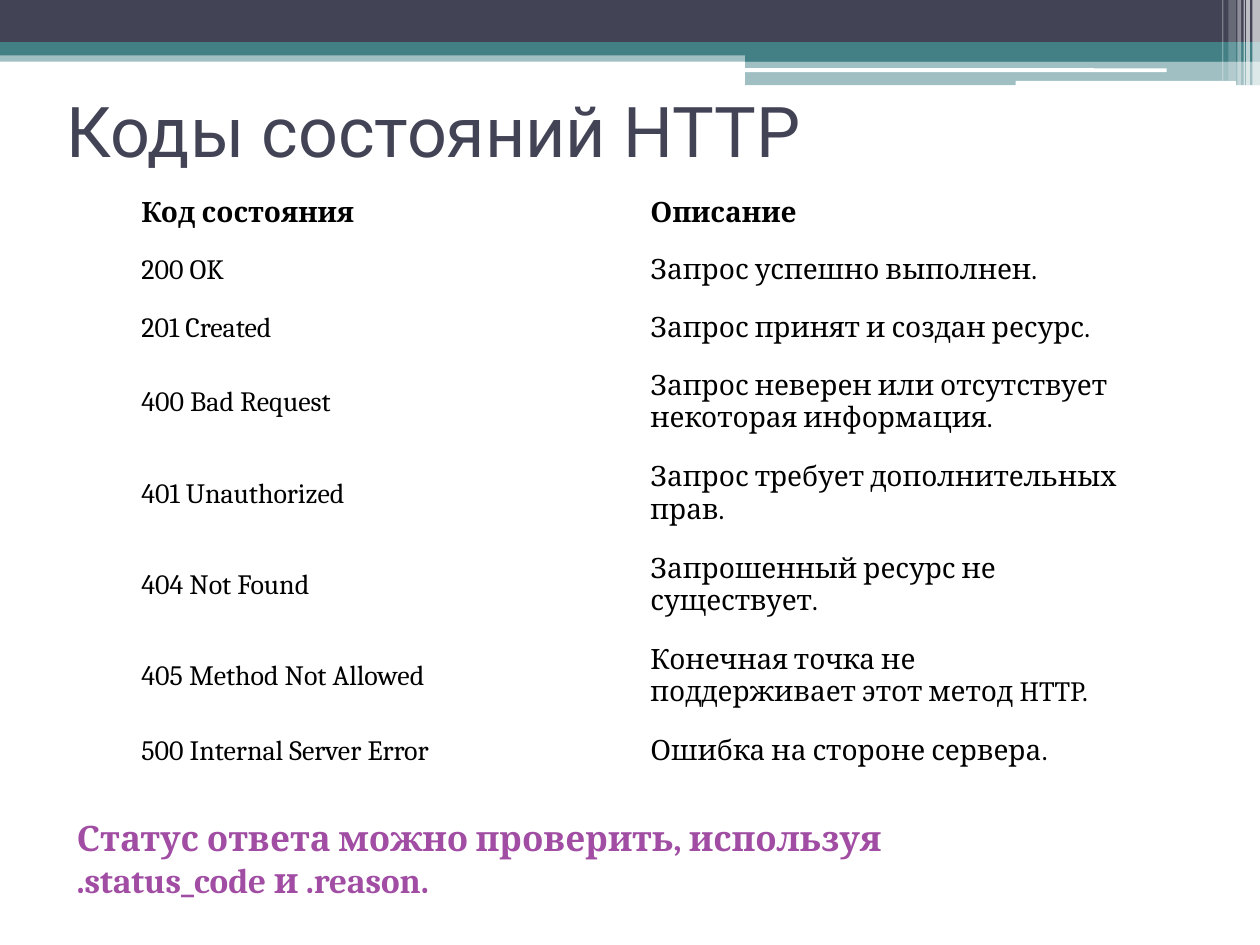
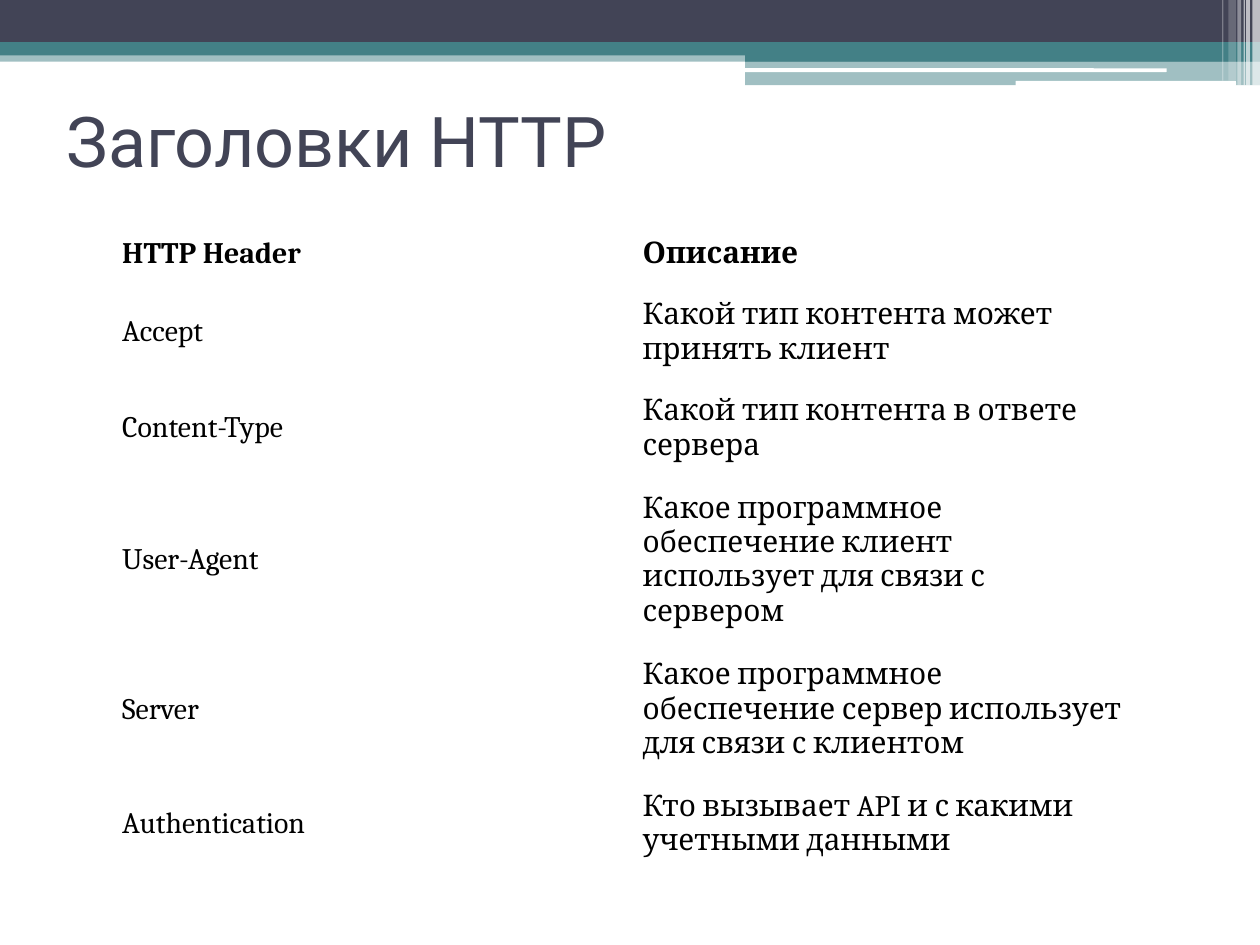
from dataclasses import dataclass

import pptx
import pptx.dml.color
import pptx.enum.shapes
import pptx.enum.text
import pptx.oxml.ns
import pptx.presentation
import pptx.slide
import pptx.text.text
import pptx.util
from lxml import etree

# The slide is a grid of 100 columns by 75 rows
COLUMNS, ROWS = 100, 75
SLIDE_WIDTH = pptx.util.Inches(10)
SLIDE_HEIGHT = pptx.util.Inches(7.5)

COLOURS = {
    "navy": "424456",
    "teal": "438086",
    "white": "FFFFFF",
    "black": "000000",
    "purple": "A04DA3",
}
TITLE_FONT, BODY_FONT = "Roboto", "Cambria"
BLANK_LAYOUT = 6


@dataclass(frozen=True)
class Band:
    left: float
    top: float
    width: float
    height: float
    colour: str
    opacity: int = 100
    rounded: bool = False


@dataclass(frozen=True)
class TextStyle:
    font: str
    size: float
    colour: str
    bold: bool = False


@dataclass(frozen=True)
class Entry:
    term: str
    meaning: str
    lines: int = 1


@dataclass(frozen=True)
class Reference:
    """A two-column table; a row is one line high plus a step per extra line."""
    left: float
    top: float
    column_width: float
    line_row: float
    extra_line: float
    inset: float
    size: float
    entries: tuple[Entry, ...]


@dataclass(frozen=True)
class Topic:
    title: str
    title_top: float
    reference: Reference
    note: tuple[str, ...] = ()


HEADER_BANDS = (
    Band(0, 4, 100, 0.9, "teal", 50),
    Band(0, 0, 100, 3.35, "navy"),
    Band(0, 3.35, 100, 1.05, "teal"),
    Band(59.15, 3.9, 40.85, 1, "teal"),
    Band(59.15, 4.85, 40.85, 1.9, "teal", 50),
    Band(59.1, 5.42, 33.5, 0.3, "white", rounded=True),
    Band(80.6, 6.42, 17.5, 0.4, "white", rounded=True),
    # Translucent stripes at the right edge
    Band(99.4, 0, 0.6, 6.8, "white", 65),
    Band(98.9, 0, 0.3, 6.8, "white", 65),
    Band(98.7, 0, 0.1, 6.8, "white", 60),
    Band(98.2, 0, 0.3, 6.8, "white", 40),
    Band(97.5, 0, 0.6, 6.4, "white", 20),
    Band(97, 0, 0.1, 6.4, "white", 30),
)

TITLE_STYLE = TextStyle(TITLE_FONT, 40, "navy")
NOTE_STYLE = TextStyle(BODY_FONT, 20, "purple", bold=True)

STATUS_CODES = Reference(
    9.83, 14.65, 40.4, 4.56, 2.69, 0.9, 16,
    (
        Entry("Код состояния", "Описание"),
        Entry("200 OK", "Запрос успешно выполнен."),
        Entry("201 Created", "Запрос принят и создан ресурс."),
        Entry("400 Bad Request",
              "Запрос неверен или отсутствует некоторая информация.", 2),
        Entry("401 Unauthorized", "Запрос требует дополнительных прав.", 2),
        Entry("404 Not Found", "Запрошенный ресурс не существует.", 2),
        Entry("405 Method Not Allowed",
              "Конечная точка не поддерживает этот метод HTTP.", 2),
        Entry("500 Internal Server Error", "Ошибка на стороне сервера."),
    ),
)

HTTP_HEADERS = Reference(
    8.3, 17.75, 41.3, 4.67, 2.72, 0.98, 17,
    (
        Entry("HTTP Header", "Описание"),
        Entry("Accept", "Какой тип контента может принять клиент", 2),
        Entry("Content-Type", "Какой тип контента в ответе сервера", 2),
        Entry("User-Agent",
              "Какое программное обеспечение клиент использует для связи с сервером", 3),
        Entry("Server",
              "Какое программное обеспечение сервер использует для связи с клиентом", 3),
        Entry("Authentication", "Кто вызывает API и с какими учетными данными", 2),
    ),
)

TOPICS = (
    Topic("Коды состояний HTTP", 4.4, STATUS_CODES,
          ("Статус ответа можно проверить, используя", ".status_code и .reason.")),
    Topic("Заголовки HTTP", 5.2, HTTP_HEADERS),
)


def across(columns: float) -> pptx.util.Emu:
    return pptx.util.Emu(round(SLIDE_WIDTH * columns / COLUMNS))


def down(rows: float) -> pptx.util.Emu:
    return pptx.util.Emu(round(SLIDE_HEIGHT * rows / ROWS))


def colour(name: str) -> pptx.dml.color.RGBColor:
    return pptx.dml.color.RGBColor.from_string(COLOURS[name])


def draw_band(slide: pptx.slide.Slide, band: Band) -> None:
    kinds = pptx.enum.shapes.MSO_SHAPE
    shape = slide.shapes.add_shape(
        kinds.ROUNDED_RECTANGLE if band.rounded else kinds.RECTANGLE,
        across(band.left), down(band.top), across(band.width), down(band.height))
    shape.shadow.inherit = False
    shape.line.fill.background()
    shape.fill.solid()
    shape.fill.fore_color.rgb = colour(band.colour)
    if band.opacity < 100:
        tint = shape.fill._xPr.find(".//" + pptx.oxml.ns.qn("a:srgbClr"))
        alpha = etree.SubElement(tint, pptx.oxml.ns.qn("a:alpha"))
        alpha.set("val", str(band.opacity * 1000))


def write_lines(frame: pptx.text.text.TextFrame, lines: tuple[str, ...],
                style: TextStyle) -> None:
    for number, line in enumerate(lines):
        paragraph = frame.add_paragraph() if number else frame.paragraphs[0]
        run = paragraph.add_run()
        run.text = line
        run.font.name = style.font
        run.font.size = pptx.util.Pt(style.size)
        run.font.bold = style.bold
        run.font.color.rgb = colour(style.colour)


def draw_text(slide: pptx.slide.Slide, left: float, top: float, width: float,
              height: float, lines: tuple[str, ...], style: TextStyle,
              anchor: pptx.enum.text.MSO_ANCHOR) -> None:
    frame = slide.shapes.add_textbox(
        across(left), down(top), across(width), down(height)).text_frame
    frame.word_wrap = True
    frame.vertical_anchor = anchor
    write_lines(frame, lines, style)


def draw_reference(slide: pptx.slide.Slide, reference: Reference) -> None:
    heights = [reference.line_row + reference.extra_line * (entry.lines - 1)
               for entry in reference.entries]
    table = slide.shapes.add_table(
        len(heights), 2, across(reference.left), down(reference.top),
        across(2 * reference.column_width), down(sum(heights))).table
    table.first_row = table.horz_banding = False
    for column in table.columns:
        column.width = across(reference.column_width)
    for number, entry in enumerate(reference.entries):
        table.rows[number].height = down(heights[number])
        style = TextStyle(BODY_FONT, reference.size, "black", bold=number == 0)
        for cell, words in zip(table.rows[number].cells, (entry.term, entry.meaning)):
            cell.fill.solid()
            cell.fill.fore_color.rgb = colour("white")
            cell.vertical_anchor = pptx.enum.text.MSO_ANCHOR.MIDDLE
            cell.margin_left = cell.margin_right = across(1.4)
            cell.margin_top = cell.margin_bottom = down(reference.inset)
            write_lines(cell.text_frame, (words,), style)


def draw_topic(deck: pptx.presentation.Presentation, topic: Topic) -> None:
    slide = deck.slides.add_slide(deck.slide_layouts[BLANK_LAYOUT])
    slide.background.fill.solid()
    slide.background.fill.fore_color.rgb = colour("white")
    for band in HEADER_BANDS:
        draw_band(slide, band)
    draw_text(slide, 4.3, topic.title_top, 90, 11.7, (topic.title,),
              TITLE_STYLE, pptx.enum.text.MSO_ANCHOR.MIDDLE)
    draw_reference(slide, topic.reference)
    if topic.note:
        draw_text(slide, 5.1, 64.3, 88.2, 7.7, topic.note,
                  NOTE_STYLE, pptx.enum.text.MSO_ANCHOR.TOP)


def main() -> None:
    deck = pptx.Presentation()
    deck.slide_width, deck.slide_height = SLIDE_WIDTH, SLIDE_HEIGHT
    for topic in TOPICS:
        draw_topic(deck, topic)
    deck.save("out.pptx")


if __name__ == "__main__":
    main()
